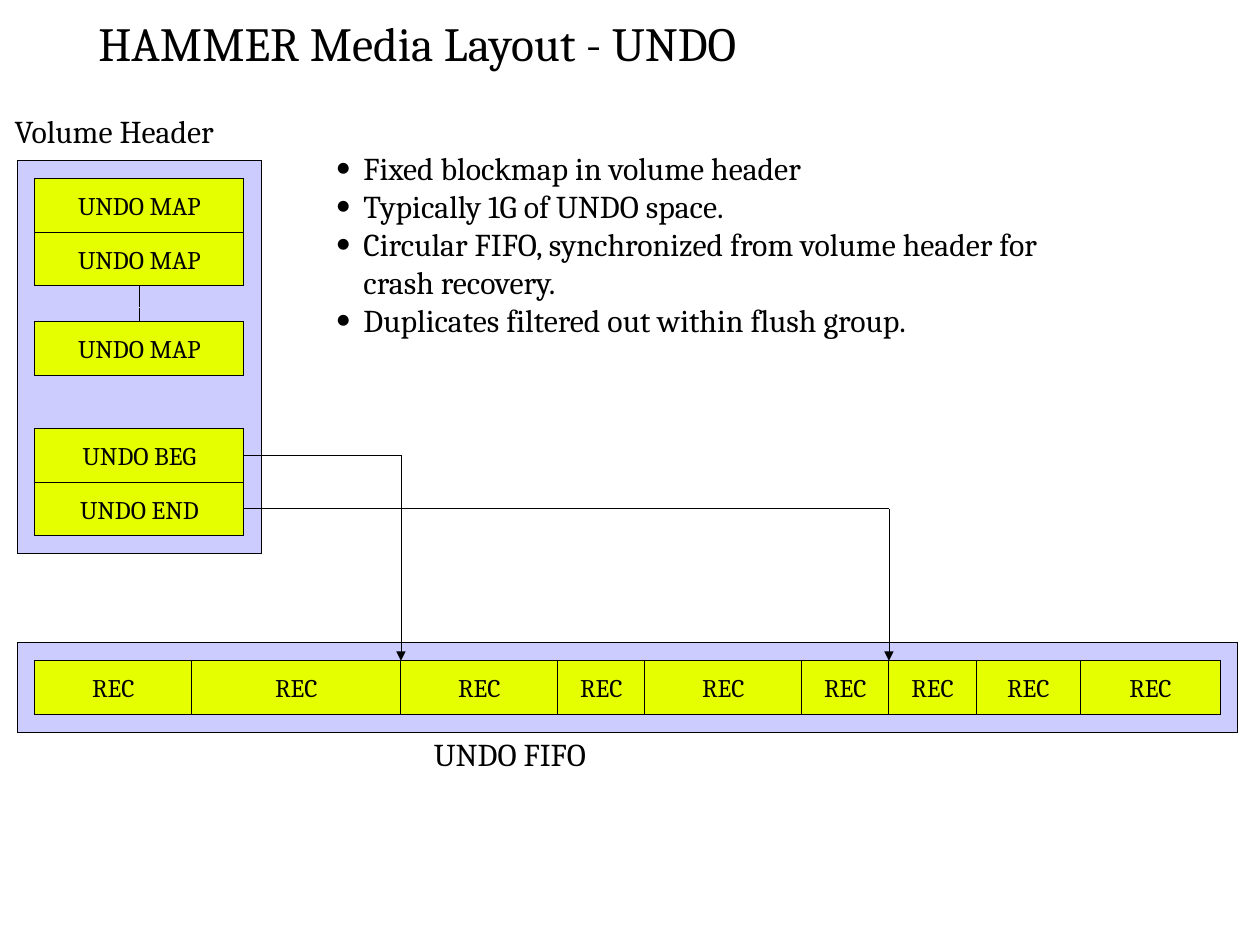
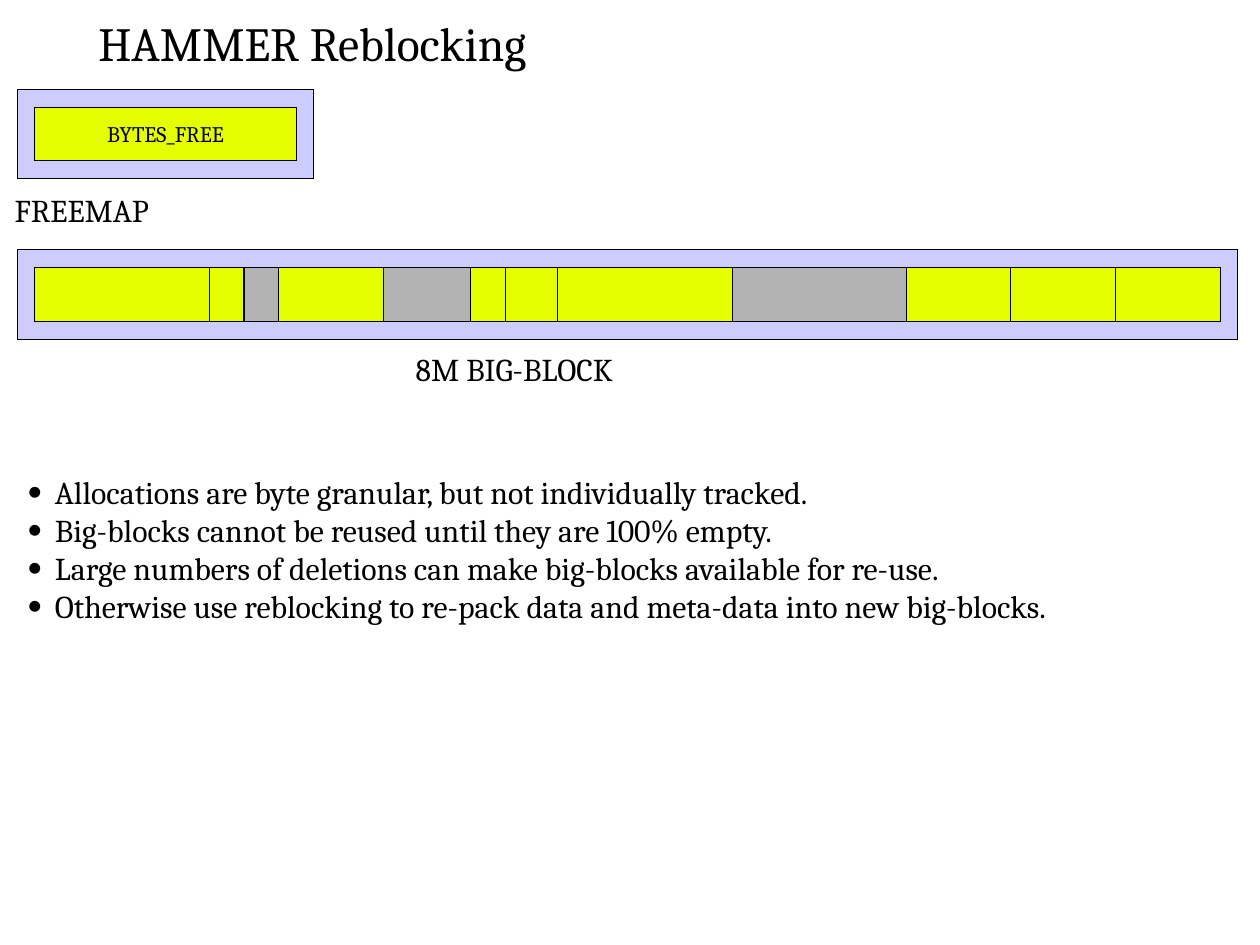
from lxml.etree import SubElement
from pptx import Presentation
from pptx.dml.color import RGBColor
from pptx.enum.dml import MSO_LINE_DASH_STYLE as Dash
from pptx.enum.shapes import MSO_CONNECTOR as Connector, MSO_SHAPE as Shape
from pptx.enum.text import MSO_ANCHOR as Anchor, PP_ALIGN as Align
from pptx.oxml.ns import qn
from pptx.util import Cm, Inches, Pt

COLUMN, ROW = Pt(10.98), Pt(11.25)
FONT = "Cambria"
BLACK, LAVENDER, LIME, GRAY = "000000", "CCCCFF", "E6FF00", "B3B3B3"
TITLE_SIZE, BODY_SIZE, CELL_SIZE = 30, 20, 16
CELL_ROWS = 3
BULLET_INDENT = Inches(0.23)

color = RGBColor.from_string


def add_box(slide, column, row, columns, rows, fill=None, lines=(),
            size=CELL_SIZE, anchor=Anchor.MIDDLE):
    """Add a filled, outlined rectangle, or a plain text box without a fill."""
    area = [int(length) for length in
            (column * COLUMN, row * ROW, columns * COLUMN, rows * ROW)]
    if fill:
        shape = slide.shapes.add_shape(Shape.RECTANGLE, *area)
        shape.shadow.inherit = False
        shape.fill.solid()
        shape.fill.fore_color.rgb = color(fill)
        shape.line.color.rgb = color(BLACK)
        shape.line._get_or_add_ln().set("w", "0")
    else:
        shape = slide.shapes.add_textbox(*area)
    frame = shape.text_frame
    for name, value in {"word_wrap": True, "vertical_anchor": anchor}.items():
        setattr(frame, name, value)
    for index, line in enumerate(lines):
        paragraph = frame.add_paragraph() if index else frame.paragraphs[0]
        paragraph.text = line
        paragraph.alignment = Align.CENTER if fill else Align.LEFT
        for run in paragraph.runs:
            for name, value in {"name": FONT, "size": Pt(size)}.items():
                setattr(run.font, name, value)
            run.font.color.rgb = color(BLACK)
    return shape


def add_line(slide, start, end, arrow=False):
    """Add a hairline between two (column, row) points."""
    points = [int(length) for column, row in (start, end)
              for length in (column * COLUMN, row * ROW)]
    connector = slide.shapes.add_connector(Connector.STRAIGHT, *points)
    connector.line.color.rgb = color(BLACK)
    outline = connector.line._get_or_add_ln()
    outline.set("w", "0")
    if arrow:
        SubElement(outline, qn("a:tailEnd"), type="triangle")
    SubElement(connector._element.spPr, qn("a:effectLst"))
    return connector


presentation = Presentation()
presentation.slide_width = Cm(28)
presentation.slide_height = Cm(21)

# Each band is a frame with a row of cells: (columns, fill, text)
slides = [
    {
        "title": "HAMMER Media Layout - UNDO",
        "frames": [(1, 36, 70, 5), (1, 9, 14, 22)],
        "band_row": 37,
        "cells": [(columns, LIME, ["REC"])
                  for columns in (9, 12, 9, 5, 9, 5, 5, 6, 8)],
        "labels": [(0.2, 5.7, "Volume Header"), (24.25, 40.6, "UNDO FIFO")],
        "bullet_area": (18.7, 8, 53, 13),
        "bullets": [
            "Fixed blockmap in volume header",
            "Typically 1G of UNDO space.",
            "Circular FIFO, synchronized from volume header for\vcrash recovery.",
            "Duplicates filtered out within flush group.",
        ],
    },
    {
        "title": "HAMMER Reblocking",
        "frames": [(1, 14, 70, 5), (1, 5, 17, 5)],
        "band_row": 15,
        "cells": [(columns, fill, []) for columns, fill in (
            (10, LIME), (2, LIME), (2, GRAY), (6, LIME), (5, GRAY), (2, LIME),
            (3, LIME), (10, LIME), (10, GRAY), (6, LIME), (6, LIME), (6, LIME))],
        "labels": [(0.2, 10.1, "FREEMAP"), (23.2, 19.05, "8M BIG-BLOCK")],
        "bullet_area": (1, 26.15, 70, 10.7),
        "bullets": [
            "Allocations are byte granular, but not individually tracked.",
            "Big-blocks cannot be reused until they are 100% empty.",
            "Large numbers of deletions can make big-blocks available for re-use.",
            "Otherwise use reblocking to re-pack data and meta-data into new big-blocks.",
        ],
    },
]

for content in slides:
    slide = presentation.slides.add_slide(presentation.slide_layouts[6])
    content["slide"] = slide
    add_box(slide, 5, 0.25, 64, 4.3, lines=[content["title"]], size=TITLE_SIZE)
    for frame_area in content["frames"]:
        add_box(slide, *frame_area, fill=LAVENDER)
    column = 2
    for columns, fill, lines in content["cells"]:
        add_box(slide, column, content["band_row"], columns, CELL_ROWS, fill, lines)
        column += columns
    for column, row, label in content["labels"]:
        add_box(slide, column, row, 24, 3.25, lines=[label], size=BODY_SIZE)

    bullet_box = add_box(slide, *content["bullet_area"], lines=content["bullets"],
                         size=BODY_SIZE, anchor=Anchor.TOP)
    for paragraph in bullet_box.text_frame.paragraphs:
        properties = paragraph._p.get_or_add_pPr()
        properties.set("marL", str(BULLET_INDENT))
        properties.set("indent", str(-BULLET_INDENT))
        bullet_color = SubElement(properties, qn("a:buClr"))
        SubElement(bullet_color, qn("a:srgbClr"), val=BLACK)
        SubElement(properties, qn("a:buSzPct"), val="45000")
        SubElement(properties, qn("a:buFont"), typeface=FONT)
        SubElement(properties, qn("a:buChar"), char="●")

undo_slide, reblocking_slide = [content["slide"] for content in slides]

# Volume header entries and their pointers into the FIFO
entries = [add_box(undo_slide, 2, row, 12, CELL_ROWS, LIME, [text])
           for row, text in ((10, "UNDO MAP"), (13, "UNDO MAP"), (18, "UNDO MAP"),
                             (24, "UNDO BEG"), (27, "UNDO END"))]
first_map, second_map, last_map, undo_begin, undo_end = entries

map_gap = add_line(undo_slide, (8, 18), (8, 16))
map_gap.line.dash_style = Dash.SQUARE_DOT
map_gap.begin_connect(last_map, 0)
map_gap.end_connect(second_map, 2)

for entry, row, column in ((undo_begin, 25.5, 23), (undo_end, 28.5, 51)):
    pointer = add_line(undo_slide, (14, row), (column, row))
    pointer.begin_connect(entry, 3)
    add_line(undo_slide, (column, row), (column, 37), arrow=True)

add_box(reblocking_slide, 2, 6, 15, CELL_ROWS, LIME, ["BYTES_FREE"], size=14)

presentation.save("out.pptx")
